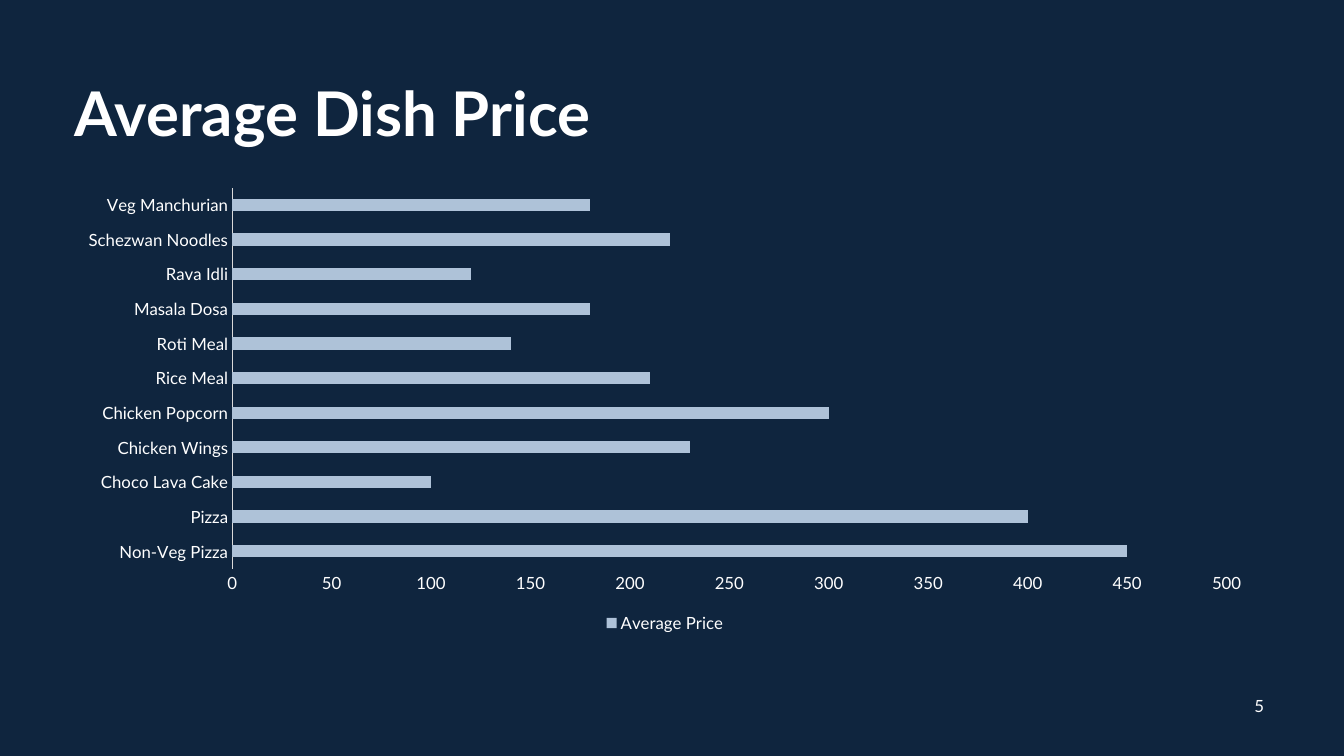
from pptx import Presentation
from pptx.chart.data import CategoryChartData
from pptx.dml.color import RGBColor
from pptx.enum.chart import XL_CHART_TYPE as ChartType, XL_LEGEND_POSITION as LegendPosition
from pptx.enum.chart import XL_TICK_MARK as TickMark
from pptx.enum.text import MSO_ANCHOR as Anchor, PP_ALIGN as Align
from pptx.util import Inches, Pt

NAVY = RGBColor(0x0F, 0x25, 0x3E)
WHITE = RGBColor(0xFF, 0xFF, 0xFF)
PALE_BLUE = RGBColor(0xAE, 0xC2, 0xD8)
AXIS_GREY = RGBColor(0xD9, 0xD9, 0xD9)
FONT = "Lato"

# Listed from the bottom bar upwards
DISH_PRICES = {
    "Non-Veg Pizza": 450,
    "Pizza": 400,
    "Choco Lava Cake": 100,
    "Chicken Wings": 230,
    "Chicken Popcorn": 300,
    "Rice Meal": 210,
    "Roti Meal": 140,
    "Masala Dosa": 180,
    "Rava Idli": 120,
    "Schezwan Noodles": 220,
    "Veg Manchurian": 180,
}


def style_font(font, size, bold=False):
    font.name = FONT
    font.size = Pt(size)
    font.bold = bold
    font.color.rgb = WHITE


def add_title(slide, left, top, width, height):
    title = slide.shapes.title
    title.left, title.top = Inches(left), Inches(top)
    title.width, title.height = Inches(width), Inches(height)
    heading = title.text_frame
    heading.text = "Average Dish Price"
    heading.word_wrap = True
    heading.vertical_anchor = Anchor.MIDDLE
    line = heading.paragraphs[0]
    line.alignment = Align.LEFT
    line.line_spacing = 0.9
    style_font(line.runs[0].font, 44, bold=True)


def add_price_chart(slide, left, top, width, height):
    prices = CategoryChartData()
    prices.categories = list(DISH_PRICES)
    prices.add_series("Average Price", list(DISH_PRICES.values()))
    chart = slide.shapes.add_chart(
        ChartType.BAR_CLUSTERED, Inches(left), Inches(top),
        Inches(width), Inches(height), prices).chart
    chart.has_title = False
    style_font(chart.font, 12)

    # Bars
    plot = chart.plots[0]
    plot.gap_width = 182
    plot.vary_by_categories = False
    bars = plot.series[0].format.fill
    bars.solid()
    bars.fore_color.rgb = PALE_BLUE

    # Axes
    dish_axis, price_axis = chart.category_axis, chart.value_axis
    for axis in (dish_axis, price_axis):
        axis.has_major_gridlines = False
        axis.major_tick_mark = axis.minor_tick_mark = TickMark.NONE
        style_font(axis.tick_labels.font, 12)
    dish_axis.format.line.color.rgb = AXIS_GREY
    dish_axis.format.line.width = Pt(0.75)
    price_axis.format.line.fill.background()
    price_axis.minimum_scale = 0
    price_axis.maximum_scale = 500
    price_axis.major_unit = 50

    # Legend
    chart.has_legend = True
    chart.legend.position = LegendPosition.BOTTOM
    chart.legend.include_in_layout = False
    style_font(chart.legend.font, 12)


def add_page_number(slide, left, top, width, height):
    page = slide.shapes.add_textbox(
        Inches(left), Inches(top), Inches(width), Inches(height)).text_frame
    page.word_wrap = True
    page.vertical_anchor = Anchor.MIDDLE
    page.text = "5"
    number = page.paragraphs[0]
    number.alignment = Align.CENTER
    style_font(number.runs[0].font, 12)


def main():
    deck = Presentation()
    deck.slide_width, deck.slide_height = Inches(13.33), Inches(7.5)
    slide = deck.slides.add_slide(deck.slide_layouts[5])
    slide.background.fill.solid()
    slide.background.fill.fore_color.rgb = NAVY

    add_title(slide, 0.64, 0.55, 11.5, 1.22)
    add_price_chart(slide, 0.64, 1.77, 11.91, 4.55)
    add_page_number(slide, 12.24, 6.8, 0.5, 0.4)
    deck.save("out.pptx")


if __name__ == "__main__":
    main()
